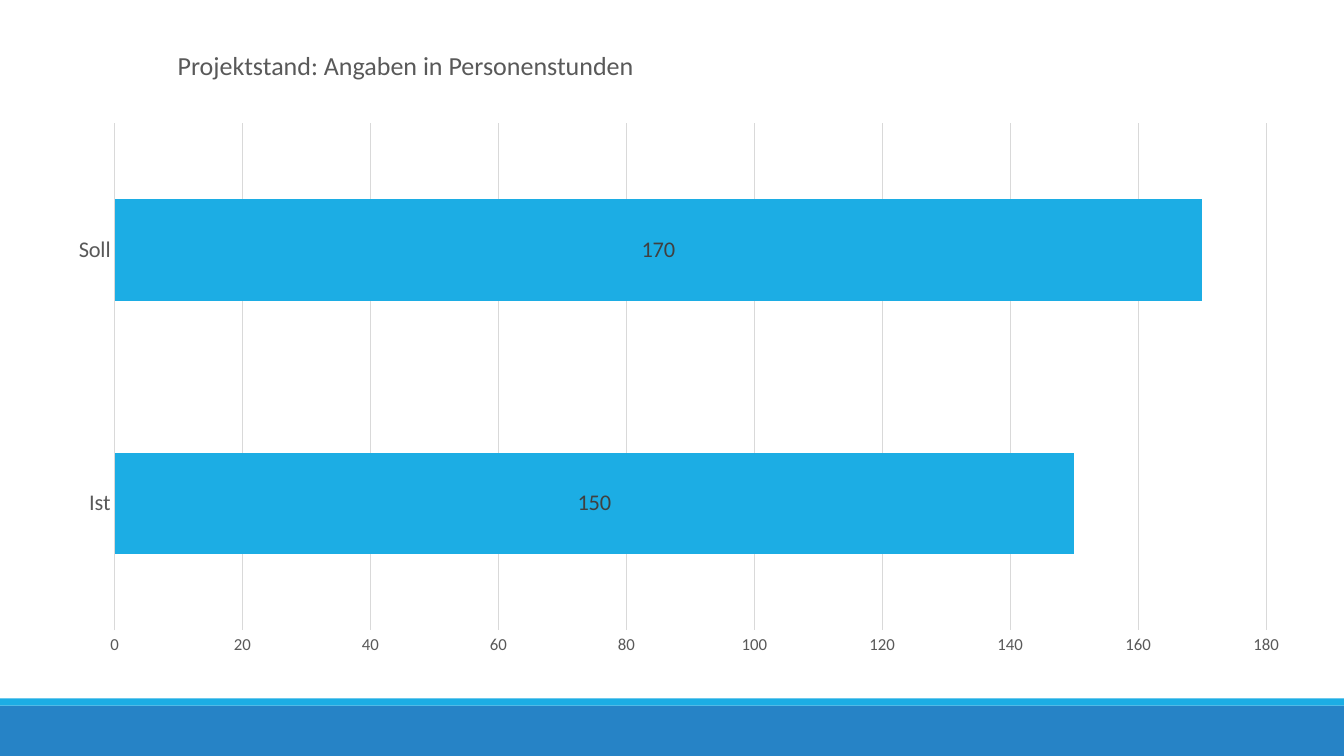
import pptx
import pptx.chart.data
import pptx.dml.color
import pptx.enum.chart
import pptx.enum.shapes
import pptx.enum.text
import pptx.oxml
import pptx.util
from pptx.util import Cm

COLORS = {
    "band": "2683C6",
    "accent": "1CADE4",
    "text": "595959",
    "label": "404040",
    "grid": "D9D9D9",
    "Series 1": "1CADE4",
    "Series 2": "77CEEF",
    "Series 3": "A4DEF4",
    "Series 4": "42BA97",
}
FONT = "Calibri"
LABEL_SIZES = (16, 16, 12, 14)
NS = ('xmlns:c="http://schemas.openxmlformats.org/drawingml/2006/chart" '
      'xmlns:a="http://schemas.openxmlformats.org/drawingml/2006/main"')


def rgb(name):
    return pptx.dml.color.RGBColor.from_string(COLORS[name])


def set_font(font, size, color):
    font.name = FONT
    font.size = pptx.util.Pt(size)
    font.bold = False
    font.color.rgb = rgb(color)


def set_line(line):
    line.color.rgb = rgb("grid")
    line.width = pptx.util.Pt(0.75)


def add_band(s, top, height, color):
    """Add a full-width footer band."""
    sp = s.shapes.add_shape(pptx.enum.shapes.MSO_SHAPE.RECTANGLE,
                            0, Cm(top), Cm(33.87), Cm(height))
    sp.shadow.inherit = False
    sp.fill.solid()
    sp.fill.fore_color.rgb = rgb(color)
    sp.line.fill.background()


def set_title(s, text):
    sp = s.shapes.title
    sp.left, sp.top, sp.width, sp.height = Cm(3.76), Cm(1.13), Cm(12.93), Cm(1.04)
    tf = sp.text_frame
    tf.text = text
    tf.word_wrap = True
    tf.auto_size = pptx.enum.text.MSO_AUTO_SIZE.NONE
    tf.vertical_anchor = pptx.enum.text.MSO_ANCHOR.MIDDLE
    p = tf.paragraphs[0]
    p.alignment = pptx.enum.text.PP_ALIGN.CENTER
    set_font(p.font, 18.6, "text")


def place_plot(chart, x, y, w, h):
    """Fix the inner plot area, in fractions of a chart without background."""
    layout = pptx.oxml.parse_xml(
        f'<c:layout {NS}><c:manualLayout><c:layoutTarget val="inner"/>'
        f'<c:xMode val="edge"/><c:yMode val="edge"/><c:x val="{x}"/><c:y val="{y}"/>'
        f'<c:w val="{w}"/><c:h val="{h}"/></c:manualLayout></c:layout>')
    space = chart.element
    plot_area = space.chart.plotArea
    for old in plot_area.findall(layout.tag):
        plot_area.remove(old)
    plot_area.insert(0, layout)
    space.chart.addnext(pptx.oxml.parse_xml(
        f'<c:spPr {NS}><a:noFill/><a:ln><a:noFill/></a:ln></c:spPr>'))


def format_series(series, label_size):
    fill = series.format.fill
    fill.solid()
    fill.fore_color.rgb = rgb(series.name)
    labels = series.data_labels
    labels.show_value = True
    labels.position = pptx.enum.chart.XL_LABEL_POSITION.CENTER
    set_font(labels.font, label_size, "label")


def add_hours_chart(s, categories, series_values):
    data = pptx.chart.data.CategoryChartData()
    data.categories = categories
    for name, values in series_values.items():
        data.add_series(name, values)
    chart = s.shapes.add_chart(pptx.enum.chart.XL_CHART_TYPE.BAR_STACKED,
                               Cm(0.38), Cm(2.19), Cm(32.57), Cm(15.98), data).chart
    chart.has_title = False
    chart.has_legend = False
    set_font(chart.font, 10, "text")
    place_plot(chart, 0.077, 0.057, 0.891, 0.8)

    plot = chart.plots[0]
    plot.gap_width = 150
    plot.overlap = 100
    plot.vary_by_categories = False
    for series, size in zip(plot.series, LABEL_SIZES):
        format_series(series, size)

    for axis, size in ((chart.category_axis, 16), (chart.value_axis, 12)):
        axis.major_tick_mark = pptx.enum.chart.XL_TICK_MARK.NONE
        axis.minor_tick_mark = pptx.enum.chart.XL_TICK_MARK.NONE
        set_font(axis.tick_labels.font, size, "text")
    set_line(chart.category_axis.format.line)
    axis = chart.value_axis
    axis.format.line.fill.background()
    axis.minimum_scale, axis.maximum_scale, axis.major_unit = 0, 180, 20
    axis.has_major_gridlines = True
    set_line(axis.major_gridlines.format.line)


def main():
    prs = pptx.Presentation()
    prs.slide_width, prs.slide_height = Cm(33.87), Cm(19.05)
    s = prs.slides.add_slide(prs.slide_layouts.get_by_name("Title Only"))
    add_band(s, 17.78, 1.27, "band")
    add_band(s, 17.6, 0.18, "accent")
    empty = (None, None)
    add_hours_chart(s, ("Ist", "Soll"), {
        "Series 1": (150, 170),
        "Series 2": empty,
        "Series 3": empty,
        "Series 4": empty,
    })
    set_title(s, "Projektstand: Angaben in Personenstunden")
    prs.save("out.pptx")


if __name__ == "__main__":
    main()
